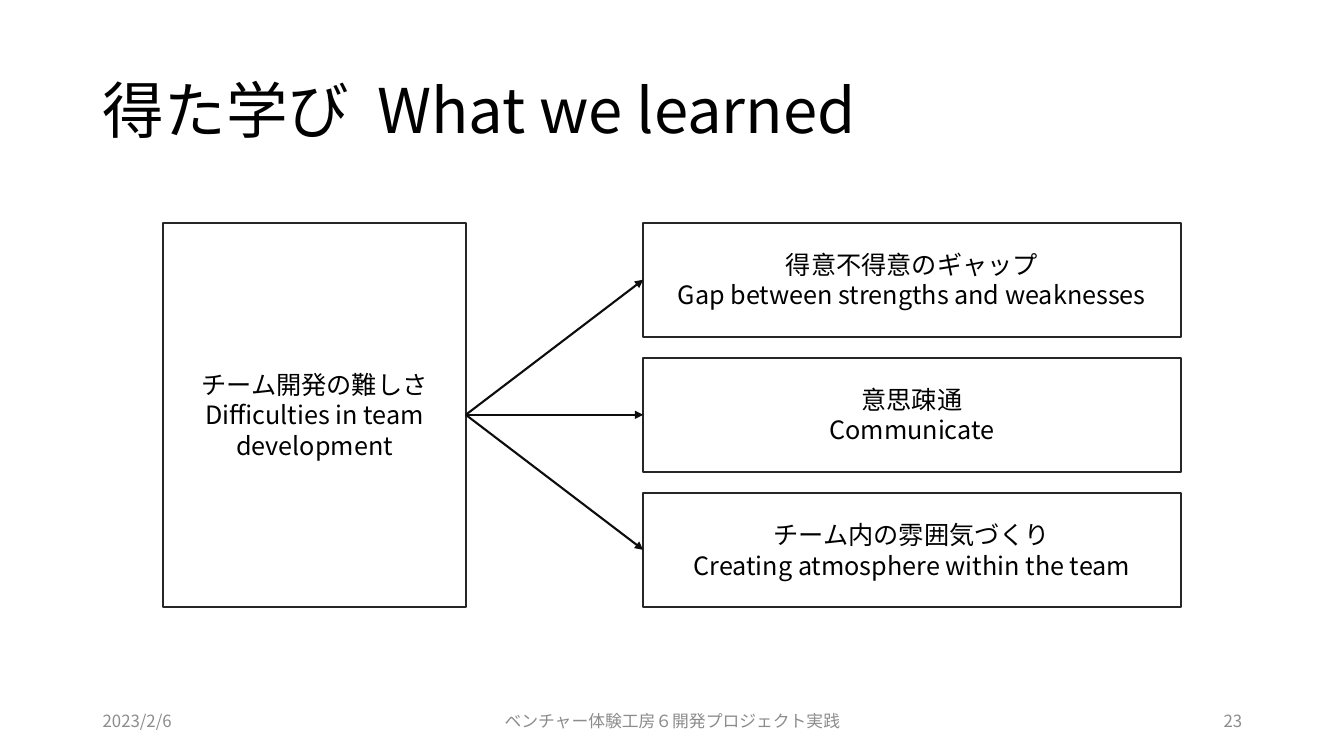
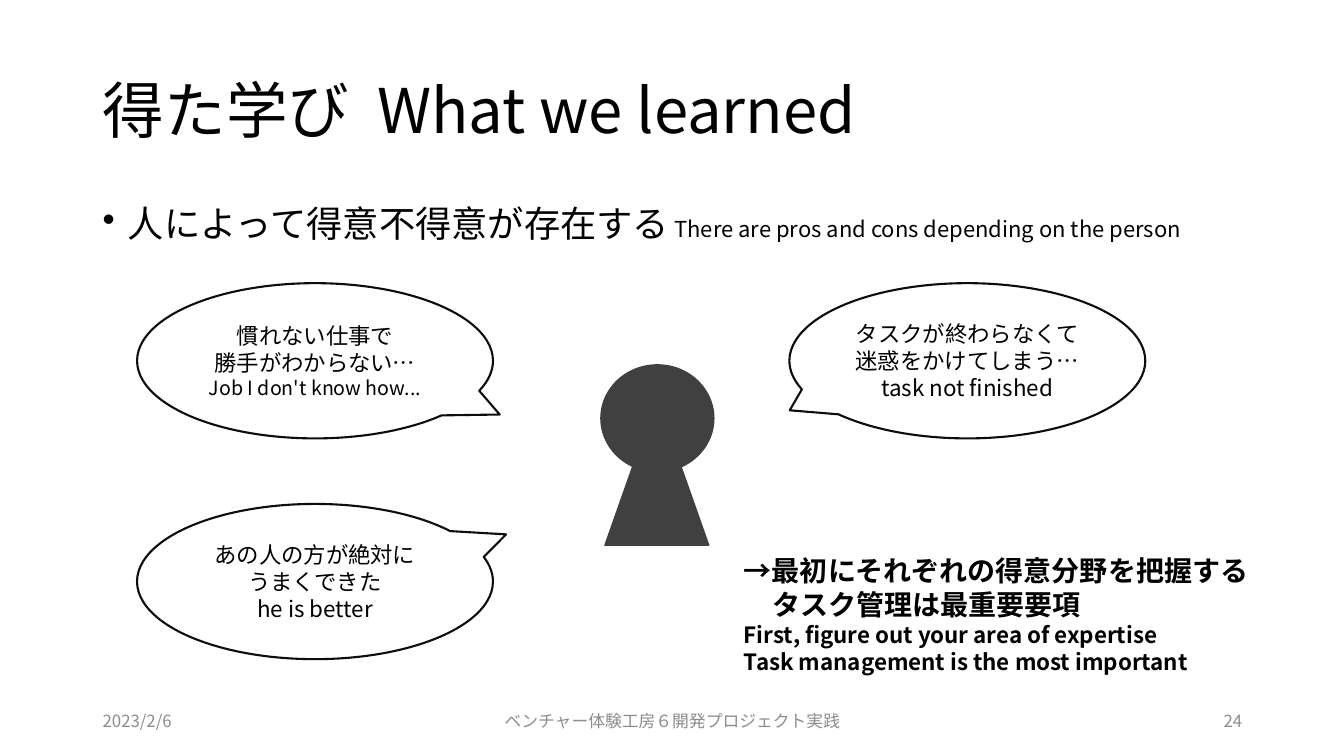
from dataclasses import dataclass
from typing import NamedTuple, Optional, Sequence

from lxml.etree import SubElement
from pptx import Presentation
from pptx.dml.color import RGBColor
from pptx.enum.shapes import MSO_CONNECTOR, MSO_SHAPE
from pptx.enum.text import MSO_ANCHOR, MSO_AUTO_SIZE, PP_ALIGN
from pptx.oxml.ns import qn
from pptx.shapes.autoshape import Shape
from pptx.slide import Slide
from pptx.util import Inches, Pt


@dataclass(frozen=True)
class Theme:
    """Colours, font and type sizes shared by the slides."""
    font: str = "Noto Sans CJK JP"
    ink: RGBColor = RGBColor(0x00, 0x00, 0x00)
    muted: RGBColor = RGBColor(0x8C, 0x8C, 0x8C)
    frame: RGBColor = RGBColor(0x26, 0x26, 0x26)
    outline: RGBColor = RGBColor(0x0D, 0x0D, 0x0D)
    figure: RGBColor = RGBColor(0x40, 0x40, 0x40)
    title: float = 44
    statement: float = 25.9
    statement_english: float = 15.7
    conclusion: float = 20
    box: float = 18
    bubble: float = 16
    bubble_small: float = 14
    footer: float = 12
    stroke: float = 1.5


class Box(NamedTuple):
    """A rectangle in inches."""
    left: float
    top: float
    width: float
    height: float


class Piece(NamedTuple):
    """A stretch of text with its own size or letter spacing in points."""
    text: str
    size: Optional[float] = None
    tracking: float = 0


class Line(NamedTuple):
    """A paragraph with its left indent in inches."""
    pieces: tuple[Piece, ...]
    indent: float = 0


class Footer(NamedTuple):
    """A footer field: place, alignment and wording."""
    box: Box
    align: PP_ALIGN
    text: str


class Bubble(NamedTuple):
    """A speech bubble: corner, tip of its tail and wording."""
    left: float
    top: float
    tip: tuple[float, float]
    lines: tuple[Line, ...]


THEME = Theme()
TITLE_BOX = Box(0.92, 0.4, 11.5, 1.45)
FOOTER_TOP, FOOTER_HEIGHT = 6.95, 0.4


def plain(*texts: str) -> tuple[Line, ...]:
    """Turn strings into paragraphs of uniform format."""
    return tuple(Line((Piece(text),)) for text in texts)


def inches(box: Box) -> list[int]:
    """Convert a box to lengths for python-pptx."""
    return [Inches(value) for value in box]


def write_text(shape: Shape, lines: Sequence[Line], *, size: float,
               color: RGBColor = THEME.ink, align: PP_ALIGN = PP_ALIGN.LEFT,
               anchor: MSO_ANCHOR = MSO_ANCHOR.MIDDLE, bold: bool = False,
               spacing: float = 1.0, before: float = 0, bullet: str = "") -> None:
    """Fill a shape with formatted paragraphs."""
    frame = shape.text_frame
    frame.word_wrap = True
    frame.auto_size = MSO_AUTO_SIZE.NONE
    frame.vertical_anchor = anchor
    for index, line in enumerate(lines):
        paragraph = frame.add_paragraph() if index else frame.paragraphs[0]
        paragraph.alignment = align
        paragraph.line_spacing = spacing
        paragraph.space_before = Pt(before)
        properties = paragraph._p.get_or_add_pPr()
        if line.indent:
            properties.set("marL", str(Inches(line.indent)))
        if bullet:
            properties.set("indent", str(-Inches(line.indent)))
            SubElement(properties, qn("a:buChar"), char=bullet)
        for piece in line.pieces:
            run = paragraph.add_run()
            run.text = piece.text
            run.font.name = THEME.font
            run.font.size = Pt(piece.size or size)
            run.font.bold = bold
            run.font.color.rgb = color
            character = run._r.get_or_add_rPr()
            SubElement(character, qn("a:ea"), typeface=THEME.font)
            if piece.tracking:
                character.set("spc", str(round(piece.tracking * 100)))


def add_text(slide: Slide, box: Box, lines: Sequence[Line], **text_format) -> None:
    """Add a text box."""
    write_text(slide.shapes.add_textbox(*inches(box)), lines, **text_format)


def add_outline(slide: Slide, kind: MSO_SHAPE, box: Box, lines: Sequence[Line],
                *, color: RGBColor, size: float) -> Shape:
    """Add an unfilled shape with centred text."""
    shape = slide.shapes.add_shape(kind, *inches(box))
    shape.shadow.inherit = False
    shape.fill.background()
    shape.line.color.rgb = color
    shape.line.width = Pt(THEME.stroke)
    write_text(shape, lines, size=size, align=PP_ALIGN.CENTER)
    return shape


def add_solid(slide: Slide, kind: MSO_SHAPE, box: Box) -> None:
    """Add one dark part of the figure."""
    shape = slide.shapes.add_shape(kind, *inches(box))
    shape.shadow.inherit = False
    shape.fill.solid()
    shape.fill.fore_color.rgb = THEME.figure
    shape.line.color.rgb = THEME.figure
    shape.line.width = Pt(1)


def add_arrow(slide: Slide, source: Shape, target: Shape) -> None:
    """Join the right side of one box to the left side of another."""
    arrow = slide.shapes.add_connector(MSO_CONNECTOR.STRAIGHT, 0, 0, 0, 0)
    arrow.begin_connect(source, 3)
    arrow.end_connect(target, 1)
    arrow.line.color.rgb = THEME.outline
    arrow.line.width = Pt(THEME.stroke)
    SubElement(arrow.line._get_or_add_ln(), qn("a:tailEnd"), type="triangle")
    SubElement(arrow._element.spPr, qn("a:effectLst"))


def add_titled_slide(deck: Presentation, page: int) -> Slide:
    """Add a slide with the shared title and footers."""
    slide = deck.slides.add_slide(deck.slide_layouts[5])
    title = slide.shapes.title
    title.left, title.top, title.width, title.height = inches(TITLE_BOX)
    heading = Line((Piece("得た学び"), Piece(" ", tracking=9.9), Piece("What we learned")))
    write_text(title, [heading], size=THEME.title, spacing=0.9)
    footers = (
        Footer(Box(0.92, FOOTER_TOP, 3, FOOTER_HEIGHT), PP_ALIGN.LEFT, "2023/2/6"),
        Footer(Box(4.42, FOOTER_TOP, 4.5, FOOTER_HEIGHT), PP_ALIGN.CENTER,
               "ベンチャー体験工房６開発プロジェクト実践"),
        Footer(Box(9.42, FOOTER_TOP, 3, FOOTER_HEIGHT), PP_ALIGN.RIGHT, str(page)),
    )
    for footer in footers:
        add_text(slide, footer.box, plain(footer.text), size=THEME.footer,
                 color=THEME.muted, align=footer.align)
    return slide


def build_difficulties(deck: Presentation) -> None:
    """Build the slide that splits the difficulty into three lessons."""
    slide = add_titled_slide(deck, 23)
    top, pitch, height = 2.21, 1.34, 1.13
    lessons = (
        ("得意不得意のギャップ", "Gap between strengths and weaknesses"),
        ("意思疎通", "Communicate"),
        ("チーム内の雰囲気づくり", "Creating atmosphere within the team"),
    )
    difficulty = add_outline(
        slide, MSO_SHAPE.RECTANGLE, Box(1.62, top, 3, 2 * pitch + height),
        plain("チーム開発の難しさ", "Difficulties in team development"),
        color=THEME.frame, size=THEME.box)
    lesson_boxes = [
        add_outline(slide, MSO_SHAPE.RECTANGLE,
                    Box(6.38, top + row * pitch, 5.33, height), plain(*lesson),
                    color=THEME.frame, size=THEME.box)
        for row, lesson in enumerate(lessons)
    ]
    for lesson_box in lesson_boxes:
        add_arrow(slide, difficulty, lesson_box)


def build_strengths(deck: Presentation) -> None:
    """Build the slide about personal strengths and weaknesses."""
    slide = add_titled_slide(deck, 24)
    statement = Line((Piece("人によって得意不得意が存在する"),
                      Piece(" There are pros and cons depending on the person",
                            THEME.statement_english)), indent=0.25)
    add_text(slide, Box(0.92, 2, 11.5, 0.67), [statement], size=THEME.statement,
             anchor=MSO_ANCHOR.TOP, spacing=0.9, before=10, bullet="•")

    left, right, upper, lower = 1.36, 7.83, 2.81, 5
    bubbles = (
        Bubble(left, upper, (0.519, 0.346),
               plain("慣れない仕事で", "勝手がわからない…")
               + (Line((Piece("Job I don't know how...", THEME.bubble_small),)),)),
        Bubble(left, lower, (0.537, -0.304),
               plain("あの人の方が絶対に", "うまくできた", "he is better")),
        Bubble(right, upper, (-0.499, 0.319),
               plain("タスクが終わらなくて", "迷惑をかけてしまう…", "task not finished")),
    )
    for bubble in bubbles:
        callout = add_outline(slide, MSO_SHAPE.OVAL_CALLOUT,
                              Box(bubble.left, bubble.top, 3.53, 1.54), bubble.lines,
                              color=THEME.outline, size=THEME.bubble)
        callout.adjustments[0], callout.adjustments[1] = bubble.tip

    add_solid(slide, MSO_SHAPE.OVAL, Box(5.96, 3.62, 1.12, 1.06))
    add_solid(slide, MSO_SHAPE.ISOSCELES_TRIANGLE, Box(6, 3.95, 1.03, 1.46))

    conclusion = (
        Line((Piece("→最初にそれぞれの得意分野を把握する"),)),
        Line((Piece("タスク管理は最重要要項"),), indent=0.28),
        Line((Piece("First, figure out your area of expertise", THEME.bubble),)),
        Line((Piece("Task management is the most important", THEME.bubble),)),
    )
    add_text(slide, Box(7.28, 5.25, 5.63, 1.69), conclusion,
             size=THEME.conclusion, bold=True)


def main() -> None:
    """Build and save the presentation."""
    deck = Presentation()
    deck.slide_width, deck.slide_height = Inches(13.33), Inches(7.5)
    build_difficulties(deck)
    build_strengths(deck)
    deck.save("out.pptx")


main()
